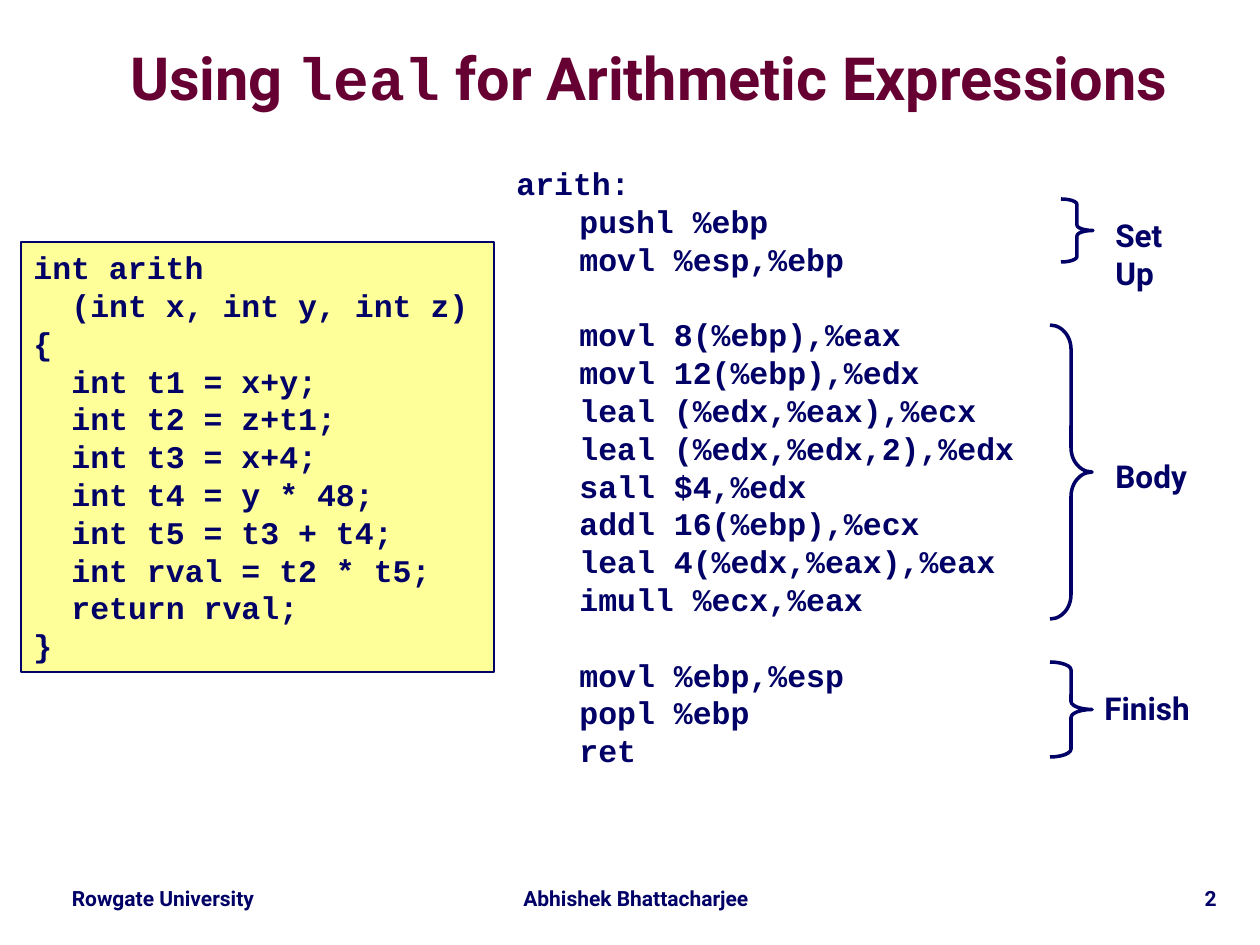
import pptx
import pptx.util
import pptx.dml.color
import pptx.enum.shapes
import pptx.enum.text

PX = 914400 / 126
COLORS = {"navy": "000066", "maroon": "660033", "yellow": "FFFF99"}
SANS, MONO = "Roboto", "Courier New"
LINE_POINTS = 21.6
ALIGN = pptx.enum.text.PP_ALIGN

C_LINES = [
    (0, "int arith"), (1, "(int x, int y, int z)"), (0, "{"),
    (1, "int t1 = x+y;"), (1, "int t2 = z+t1;"), (1, "int t3 = x+4;"),
    (1, "int t4 = y * 48;"), (1, "int t5 = t3 + t4;"),
    (1, "int rval = t2 * t5;"), (1, "return rval;"), (0, "}"),
]
ASSEMBLY_GROUPS = [
    ["pushl %ebp", "movl %esp,%ebp"],
    ["movl 8(%ebp),%eax", "movl 12(%ebp),%edx", "leal (%edx,%eax),%ecx",
     "leal (%edx,%edx,2),%edx", "sall $4,%edx", "addl 16(%ebp),%ecx",
     "leal 4(%edx,%eax),%eax", "imull %ecx,%eax"],
    ["movl %ebp,%esp", "popl %ebp", "ret"],
]


def emu(*lengths):
    """Turn px lengths into EMU."""
    return [pptx.util.Emu(round(length * PX)) for length in lengths]


def rgb(name):
    """Look up a named colour."""
    return pptx.dml.color.RGBColor.from_string(COLORS[name])


def style(span, size, font=SANS, color="navy"):
    """Format one bold run."""
    span.font.size = pptx.util.Pt(size)
    span.font.name = font
    span.font.bold = True
    span.font.color.rgb = rgb(color)


def add_label(page, box, text, size=18, align=ALIGN.LEFT, spacing=None, wrap=False):
    """Place a sans-serif text box."""
    frame = page.shapes.add_textbox(*emu(*box)).text_frame
    frame.word_wrap = wrap
    frame.text = text
    for para in frame.paragraphs:
        para.alignment = align
        para.line_spacing = spacing
        for span in para.runs:
            style(span, size)


def add_title(page, box):
    """Place the heading with its instruction name in monospace."""
    frame = page.shapes.add_textbox(*emu(*box)).text_frame
    frame.word_wrap = True
    frame.margin_left = frame.margin_right = frame.margin_top = frame.margin_bottom = 0
    frame.vertical_anchor = pptx.enum.text.MSO_ANCHOR.MIDDLE
    para = frame.paragraphs[0]
    para.alignment = ALIGN.CENTER
    para.line_spacing = 0.87
    parts = [("Using ", SANS), ("leal", MONO), (" for Arithmetic Expressions", SANS)]
    for text, font in parts:
        span = para.add_run()
        span.text = text
        style(span, 34, font, "maroon")


def write_code(frame, lines, indent, starts=()):
    """Write indented code, with one line of space before each start index."""
    frame.word_wrap = True
    frame.vertical_anchor = pptx.enum.text.MSO_ANCHOR.TOP
    frame.text = "\n".join(text for level, text in lines)
    for index, (para, (level, text)) in enumerate(zip(frame.paragraphs, lines)):
        para.alignment = ALIGN.LEFT
        para.line_spacing = pptx.util.Pt(LINE_POINTS)
        if index in starts:
            para.space_before = pptx.util.Pt(LINE_POINTS)
        properties = para._p.get_or_add_pPr()
        properties.set("marL", str(emu(level * indent)[0]))
        properties.set("indent", "0")
        style(para.runs[0], 18, MONO)


def add_c_panel(page, box):
    """Place the C function on its yellow panel."""
    panel = page.shapes.add_shape(pptx.enum.shapes.MSO_SHAPE.RECTANGLE, *emu(*box))
    panel.shadow.inherit = False
    panel.fill.solid()
    panel.fill.fore_color.rgb = rgb("yellow")
    panel.line.color.rgb = rgb("navy")
    panel.line.width = pptx.util.Pt(1)
    write_code(panel.text_frame, C_LINES, 38)


def add_assembly(page, box):
    """Place the assembly listing in its three spaced groups."""
    lines, starts = [(0, "arith:")], []
    for group in ASSEMBLY_GROUPS:
        starts.append(len(lines))
        lines += [(1, text) for text in group]
    frame = page.shapes.add_textbox(*emu(*box)).text_frame
    write_code(frame, lines, 63, starts[1:])


def add_stage(page, box, bend, text, label_box):
    """Place a brace and its label, whose box is relative to the brace."""
    brace = page.shapes.add_shape(pptx.enum.shapes.MSO_SHAPE.RIGHT_BRACE, *emu(*box))
    brace.shadow.inherit = False
    brace.adjustments[0] = bend
    brace.fill.background()
    brace.line.color.rgb = rgb("navy")
    brace.line.width = pptx.util.Pt(2)
    left, top, width, height = label_box
    add_label(page, (box[0] + left, box[1] + top, width, height), text)


def add_footer(page, box):
    """Place the school, author and page number along the bottom."""
    left, top, width, height = box
    parts = [
        (0, 242, "Rowgate University", ALIGN.CENTER),
        (452, 284, "Abhishek Bhattacharjee", ALIGN.CENTER),
        (width - 199, 199, "2", ALIGN.RIGHT),
    ]
    for offset, part_width, text, align in parts:
        add_label(page, (left + offset, top, part_width, height), text, 12, align, 0.9, True)


def main():
    """Build the deck."""
    deck = pptx.Presentation()
    deck.slide_width, deck.slide_height = emu(1260, 945)
    page = deck.slides.add_slide(deck.slide_layouts[6])
    add_footer(page, (42, 882, 1187, 35))
    add_title(page, (38, 42, 1222, 79))
    add_c_panel(page, (21, 242, 473, 430))
    add_assembly(page, (504, 158, 567, 617))
    add_stage(page, (1050, 325, 42, 294), 0.58, "Body", (53, 126, 105, 50))
    add_stage(page, (1061, 199, 32, 63), 0.17, "Set\nUp", (42, 11, 74, 88))
    add_stage(page, (1050, 662, 42, 95), 0.19, "Finish", (42, 21, 118, 50))
    deck.save("out.pptx")


if __name__ == "__main__":
    main()
